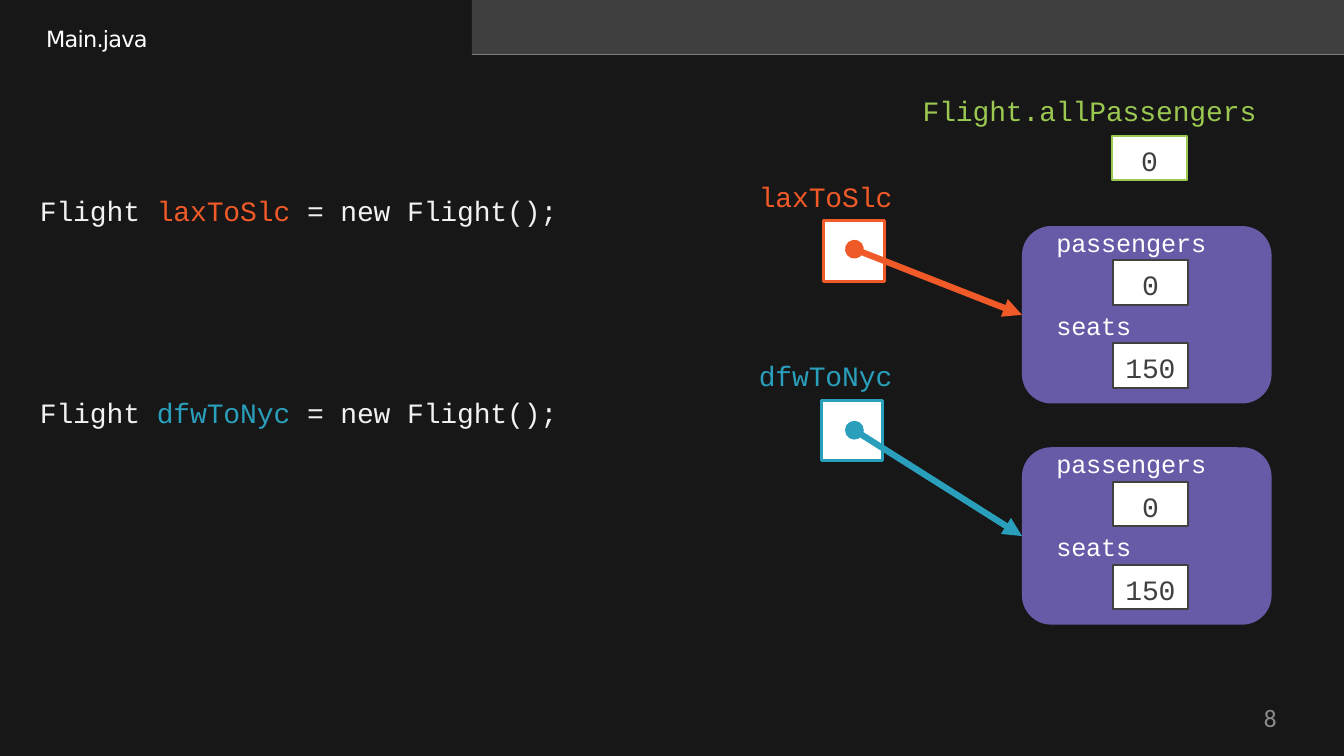
from dataclasses import dataclass

import lxml.etree
import pptx
import pptx.dml.color
import pptx.enum.shapes
import pptx.enum.text
import pptx.oxml.ns
import pptx.util

Pt = pptx.util.Pt
Align = pptx.enum.text.PP_ALIGN
Anchor = pptx.enum.text.MSO_ANCHOR
Shape = pptx.enum.shapes.MSO_SHAPE


@dataclass(frozen=True)
class Theme:
    page: str = "171717"
    tab_bar: str = "404040"
    tab_edge: str = "7F7F7F"
    code: str = "F2F2F2"
    white: str = "FFFFFF"
    dark: str = "404040"
    orange: str = "F05A28"
    teal: str = "2A9FBC"
    green: str = "9BC850"
    purple: str = "675BA7"
    muted: str = "8C8C8C"
    mono: str = "Courier New"
    tab_font: str = "DejaVu Sans"
    number_font: str = "Calibri"
    code_size: float = 20
    field_size: float = 18
    tab_size: float = 16
    number_size: float = 18


THEME = Theme()


def rgb(colour):
    return pptx.dml.color.RGBColor.from_string(colour)


def write(box, spans, size, font=THEME.mono, align=Align.LEFT,
          anchor=Anchor.TOP, left=0.0, top=1.0, tracking=-0.1):
    """Fill a box with one paragraph of (text, colour) spans."""
    frame = box.text_frame
    frame.word_wrap = True
    frame.auto_size = pptx.enum.text.MSO_AUTO_SIZE.NONE
    frame.vertical_anchor = anchor
    frame.margin_left, frame.margin_top = Pt(left), Pt(top)
    frame.margin_right = frame.margin_bottom = 0
    para = frame.paragraphs[0]
    para.alignment = align
    para.font.name, para.font.size = font, Pt(size)
    for text, colour in spans:
        span = para.add_run()
        span.text = text
        span.font.color.rgb = rgb(colour)
        span.font._element.set("spc", str(round(tracking * 100)))


def add_label(page, at, spans, size, **style):
    box = page.shapes.add_textbox(*map(Pt, at))
    write(box, spans, size, **style)


def add_block(page, kind, at, fill, line=None, weight=1.5):
    block = page.shapes.add_shape(kind, *map(Pt, at))
    block.shadow.inherit = False
    block.fill.solid()
    block.fill.fore_color.rgb = rgb(fill)
    if line:
        block.line.color.rgb = rgb(line)
        block.line.width = Pt(weight)
    else:
        block.line.fill.background()
    return block


def add_line(page, start, end, colour, weight, ends=()):
    line = page.shapes.add_connector(
        pptx.enum.shapes.MSO_CONNECTOR.STRAIGHT, *map(Pt, start + end))
    line.line.color.rgb = rgb(colour)
    line.line.width = Pt(weight)
    outline = line.line._get_or_add_ln()
    for tag, kind in ends:
        lxml.etree.SubElement(outline, pptx.oxml.ns.qn(tag), type=kind)
    lxml.etree.SubElement(line._element.spPr, pptx.oxml.ns.qn("a:effectLst"))


def add_value(page, left, top, text, edge=THEME.dark):
    box = add_block(page, Shape.RECTANGLE, (left, top, 53.5, 31.7),
                    THEME.white, edge)
    write(box, [(text, THEME.dark)], THEME.code_size,
          align=Align.CENTER, anchor=Anchor.MIDDLE, top=3)


def add_flight_object(page, top):
    left = 730
    card = add_block(page, Shape.ROUNDED_RECTANGLE,
                     (left, top, 178.3, 126.7), THEME.purple)
    card.adjustments[0] = 0.165
    fields = (("passengers", "0"), ("seats", "150"))
    for row, (name, value) in enumerate(fields):
        field_top = top + row * 59.3
        add_label(page, (left + 24.5, field_top, 115, 24),
                  [(name, THEME.white)], THEME.field_size)
        add_value(page, left + 65, field_top + 24.5, value)


def add_reference(page, name, colour, left, top, start, end):
    """Named variable box with an arrow to its object."""
    add_label(page, (542, top - 30.5, 100, 26), [(name, colour)],
              THEME.code_size)
    add_block(page, Shape.RECTANGLE, (left, top, 43.4, 43.4),
              THEME.white, colour, 2)
    add_line(page, start, end, colour, 4.5,
             (("a:headEnd", "oval"), ("a:tailEnd", "triangle")))


def add_statement(page, top, name, colour):
    add_label(page, (28.5, top, 374, 26),
              [("Flight ", THEME.code), (name, colour),
               (" = new Flight();", THEME.code)], THEME.code_size)


def main():
    deck = pptx.Presentation()
    deck.slide_width, deck.slide_height = Pt(960), Pt(540)
    page = deck.slides.add_slide(deck.slide_layouts[5])
    page.background.fill.solid()
    page.background.fill.fore_color.rgb = rgb(THEME.page)

    # Editor tab bar
    add_block(page, Shape.RECTANGLE, (337, 0, 623, 38.7), THEME.tab_bar)
    add_line(page, (337, 38.8), (960, 38.8), THEME.tab_edge, 0.5)
    add_label(page, (33, 17.3, 90, 21), [("Main.java", THEME.white)],
              THEME.tab_size, font=THEME.tab_font, tracking=-0.5)

    # Static field as title
    title = page.shapes.title
    title.left, title.top, title.width, title.height = map(
        Pt, (60, 65.5, 840, 26))
    write(title, [("Flight.allPassengers", THEME.green)], THEME.code_size,
          left=599)
    add_value(page, 794.3, 97.2, "0", THEME.green)

    # Statements, objects and the references between them
    flights = (
        ("laxToSlc", THEME.orange, 137.5, 161.5, (588.2, 157.7), 178),
        ("dfwToNyc", THEME.teal, 281.5, 319.5, (586.8, 285.8), 307.3),
    )
    for name, colour, code_top, card_top, corner, dot_top in flights:
        add_statement(page, code_top, name, colour)
        add_flight_object(page, card_top)
        add_reference(page, name, colour, *corner,
                      (610.3, dot_top), (730, card_top + 63.4))

    # Page number
    add_label(page, (691, 502, 221, 27), [("8", THEME.muted)],
              THEME.number_size, font=THEME.number_font,
              align=Align.RIGHT, top=0, tracking=0)

    deck.save("out.pptx")


if __name__ == "__main__":
    main()
